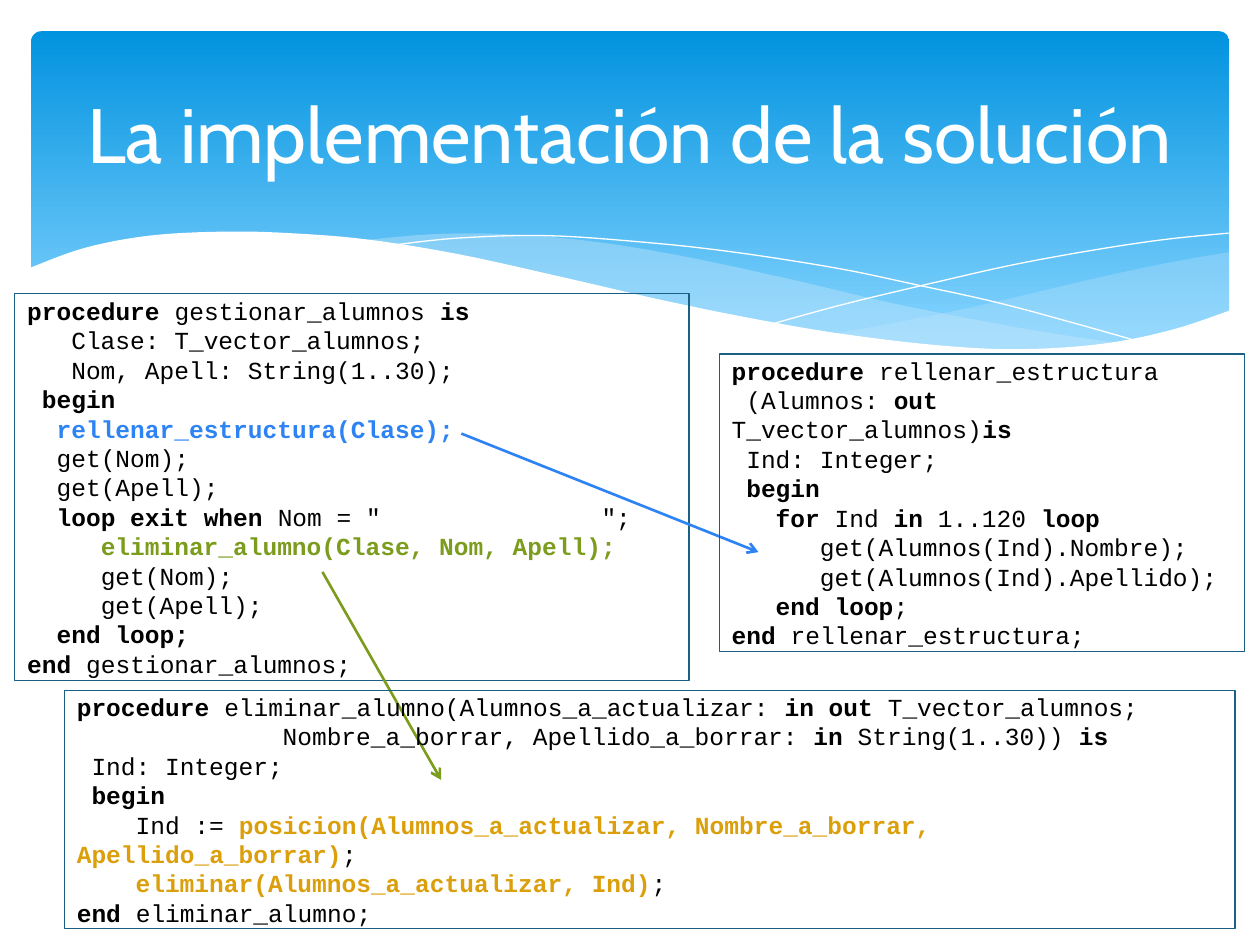
from dataclasses import dataclass

from lxml.etree import SubElement
from pptx import Presentation
from pptx.dml.color import RGBColor
from pptx.enum.shapes import MSO_CONNECTOR, MSO_SHAPE
from pptx.enum.text import MSO_ANCHOR, PP_ALIGN
from pptx.oxml.ns import qn
from pptx.util import Cm, Pt


@dataclass(frozen=True)
class Theme:
    top: str = "0293E0"
    base: str = "83D3FE"
    mist: str = "C6E7FC"
    white: str = "FFFFFF"
    ink: str = "000000"
    edge: str = "1A5F84"
    blue: str = "2D83F4"
    green: str = "7C9C1E"
    gold: str = "DC9F0C"
    head: str = "Cabin"
    mono: str = "Courier New"
    large: int = 44
    small: int = 14
    pitch: float = 8.4


THEME = Theme()
MARKS = {"^": THEME.blue, "~": THEME.green, "@": THEME.gold}

RIGHT = [
    [(24.79, 5.08), (23.39, 5.33), (21.87, 5.66), (19.79, 6.15), (17.93, 6.53), (16.79, 6.73)],
    [(16.79, 6.73), (17.91, 6.88), (19.23, 7.01), (20.4, 7.06), (21.69, 7.01), (22.99, 6.83),
     (23.93, 6.58), (24.79, 6.27)],
]
MIDDLE = [
    [(7.26, 4.85), (8.74, 4.72), (10.13, 4.72), (11.81, 4.85), (13.74, 5.16), (15.98, 5.64),
     (17.93, 6.1), (19.69, 6.45), (21.26, 6.73), (22.68, 6.93)],
    [(22.68, 6.93), (21.54, 7.04), (20.5, 7.06), (19, 7.01), (17.27, 6.81), (15.27, 6.48),
     (13.46, 6.1), (11.4, 5.64), (9.73, 5.26), (8.2, 4.98), (7.26, 4.85)],
]
FALL = [[(7.85, 4.95), (9.22, 4.8), (11, 4.75), (12.95, 4.88), (14.78, 5.08), (16.89, 5.41),
         (18.47, 5.74), (20.19, 6.12), (22.07, 6.63), (23.04, 6.91)]]
RISE = [[(15.57, 6.53), (17.07, 6.12), (19, 5.66), (20.47, 5.33), (22, 5.05), (23.47, 4.83),
         (24.77, 4.7)]]
FRONT = [
    [(24.82, 6.25), (23.62, 6.65), (22.23, 6.93), (20.55, 7.04), (18.9, 6.96), (16.97, 6.73),
     (15.32, 6.45), (13.44, 6.07), (11.35, 5.59), (9.27, 5.13), (7.42, 4.83), (5.84, 4.7),
     (4.5, 4.67), (3.02, 4.75), (1.7, 5), (0.58, 5.41)],
    [(0.58, 5.41), (0.58, 8.36)],
    [(0.58, 8.36), (24.82, 8.36)],
]

MANAGE = [
    (0, "*procedure *gestionar_alumnos *is*"),
    (3, "Clase: T_vector_alumnos;"),
    (3, "Nom, Apell: String(1..30);"),
    (1, "*begin*"),
    (2, "*^rellenar_estructura(Clase);*"),
    (2, "get(Nom);"),
    (2, "get(Apell);"),
    (2, '*loop exit when *Nom = "               ";'),
    (5, "*~eliminar_alumno(Clase, Nom, Apell);*"),
    (5, "get(Nom);"),
    (5, "get(Apell);"),
    (2, "*end loop;*"),
    (0, "*end *gestionar_alumnos;"),
]
REMOVE = [
    (0, "*procedure *eliminar_alumno(Alumnos_a_actualizar: *in out *T_vector_alumnos;"),
    (14, "Nombre_a_borrar, Apellido_a_borrar: *in *String(1..30)) *is*"),
    (1, "Ind: Integer;"),
    (1, "*begin*"),
    (4, "Ind := *@posicion(Alumnos_a_actualizar, Nombre_a_borrar, Apellido_a_borrar)*;"),
    (4, "*@eliminar(Alumnos_a_actualizar, Ind)*;"),
    (0, "*end *eliminar_alumno;"),
]
FILL = [
    (0, "*procedure *rellenar_estructura"),
    (1, "(Alumnos: *out *T_vector_alumnos)*is*"),
    (1, "Ind: Integer;"),
    (1, "*begin*"),
    (3, "*for *Ind *in* 1..120 *loop*"),
    (6, "get(Alumnos(Ind).Nombre);"),
    (6, "get(Alumnos(Ind).Apellido);"),
    (3, "*end loop*;"),
    (0, "*end *rellenar_estructura;"),
]


def rgb(code):
    return RGBColor.from_string(code)


def apply(item, style):
    for name, value in style.items():
        setattr(item, name, value)


def paint(fill, code):
    fill.solid()
    fill.fore_color.rgb = rgb(code)


def write(para, text, color, **style):
    run = para.add_run()
    run.text = text
    apply(run.font, style)
    run.font.color.rgb = rgb(color)


def smooth(knots, steps=6):
    if len(knots) < 3:
        return knots
    ends = [knots[0], *knots, knots[-1]]
    points = [knots[0]]
    for a, b, c, d in zip(ends, ends[1:], ends[2:], ends[3:]):
        for t in (n / steps for n in range(1, steps + 1)):
            points.append(tuple(
                q + t / 2 * (r - p + t * (2 * p - 5 * q + 4 * r - s + t * (3 * (q - r) + s - p)))
                for p, q, r, s in zip(a, b, c, d)))
    return points


def add_wave(slide, sides, color, alpha=100, closed=True):
    points = [(Cm(x), Cm(y)) for side in sides for x, y in smooth(side)]
    build = slide.shapes.build_freeform(*points[0])
    build.add_line_segments(points[1:], close=closed)
    wave = build.convert_to_shape()
    wave.shadow.inherit = False
    if closed:
        paint(wave.fill, color)
        wave.line.fill.background()
        tint = wave._element.spPr.find(".//" + qn("a:srgbClr"))
        SubElement(tint, qn("a:alpha"), val=str(alpha * 1000))
    else:
        wave.fill.background()
        paint(wave.line.fill, color)
        wave.line.width = Pt(0)


def add_banner(slide):
    panel = slide.shapes.add_shape(
        MSO_SHAPE.ROUNDED_RECTANGLE, Cm(0.63), Cm(0.63), Cm(24.15), Cm(6.86))
    panel.adjustments[0] = 0.03
    panel.shadow.inherit = False
    panel.line.fill.background()
    panel.fill.gradient()
    panel.fill.gradient_angle = 270
    for stop, place, code in zip(panel.fill.gradient_stops, (0, 0.9), (THEME.top, THEME.base)):
        stop.position = place
        stop.color.rgb = rgb(code)
    add_wave(slide, RIGHT, THEME.mist, 29)
    add_wave(slide, MIDDLE, THEME.mist, 40)
    for side in (FALL, RISE):
        add_wave(slide, side, THEME.white, closed=False)
    add_wave(slide, FRONT, THEME.white)


def add_title(slide, text):
    title = slide.shapes.title
    slide.shapes._spTree.append(title._element)
    apply(title, {"left": Cm(1.27), "top": Cm(0.94), "width": Cm(22.86), "height": Cm(3.48)})
    title.text_frame.vertical_anchor = MSO_ANCHOR.MIDDLE
    para = title.text_frame.paragraphs[0]
    para.alignment = PP_ALIGN.CENTER
    write(para, text, THEME.white, name=THEME.head, size=Pt(THEME.large))


def add_code(slide, left, top, width, height, lines):
    box = slide.shapes.add_shape(
        MSO_SHAPE.RECTANGLE, Cm(left), Cm(top), Cm(width), Cm(height))
    box.shadow.inherit = False
    box.fill.background()
    paint(box.line.fill, THEME.edge)
    box.line.width = Pt(0.75)
    frame = box.text_frame
    apply(frame, {"word_wrap": True, "vertical_anchor": MSO_ANCHOR.MIDDLE})
    for row, (depth, line) in enumerate(lines):
        para = frame.add_paragraph() if row else frame.paragraphs[0]
        para.alignment = PP_ALIGN.LEFT
        para._p.get_or_add_pPr().set("indent", str(Pt(THEME.pitch * depth)))
        for spot, part in enumerate(line.split("*")):
            if part:
                color = MARKS.get(part[0], THEME.ink)
                write(para, part.lstrip("^~@"), color, name=THEME.mono,
                      size=Pt(THEME.small), bold=spot % 2 == 1)


def add_arrow(slide, start, end, color):
    arrow = slide.shapes.add_connector(
        MSO_CONNECTOR.STRAIGHT, *(Cm(value) for value in (*start, *end)))
    paint(arrow.line.fill, color)
    arrow.line.width = Pt(1.5)
    SubElement(arrow.line._get_or_add_ln(), qn("a:tailEnd"), type="arrow")
    SubElement(arrow._element.spPr, qn("a:effectLst"))


def main():
    deck = Presentation()
    apply(deck, {"slide_width": Cm(25.4), "slide_height": Cm(19.05)})
    slide = deck.slides.add_slide(deck.slide_layouts[5])
    add_banner(slide)
    add_title(slide, "La implementación de la solución")
    add_code(slide, 0.3, 5.92, 13.59, 7.8, MANAGE)
    add_arrow(slide, (9.3, 8.74), (15.29, 11.13), THEME.blue)
    add_arrow(slide, (6.5, 11.53), (8.89, 15.72), THEME.green)
    add_code(slide, 1.3, 13.92, 23.6, 4.8, REMOVE)
    add_code(slide, 14.5, 7.14, 10.59, 5.99, FILL)
    deck.save("out.pptx")


if __name__ == "__main__":
    main()
